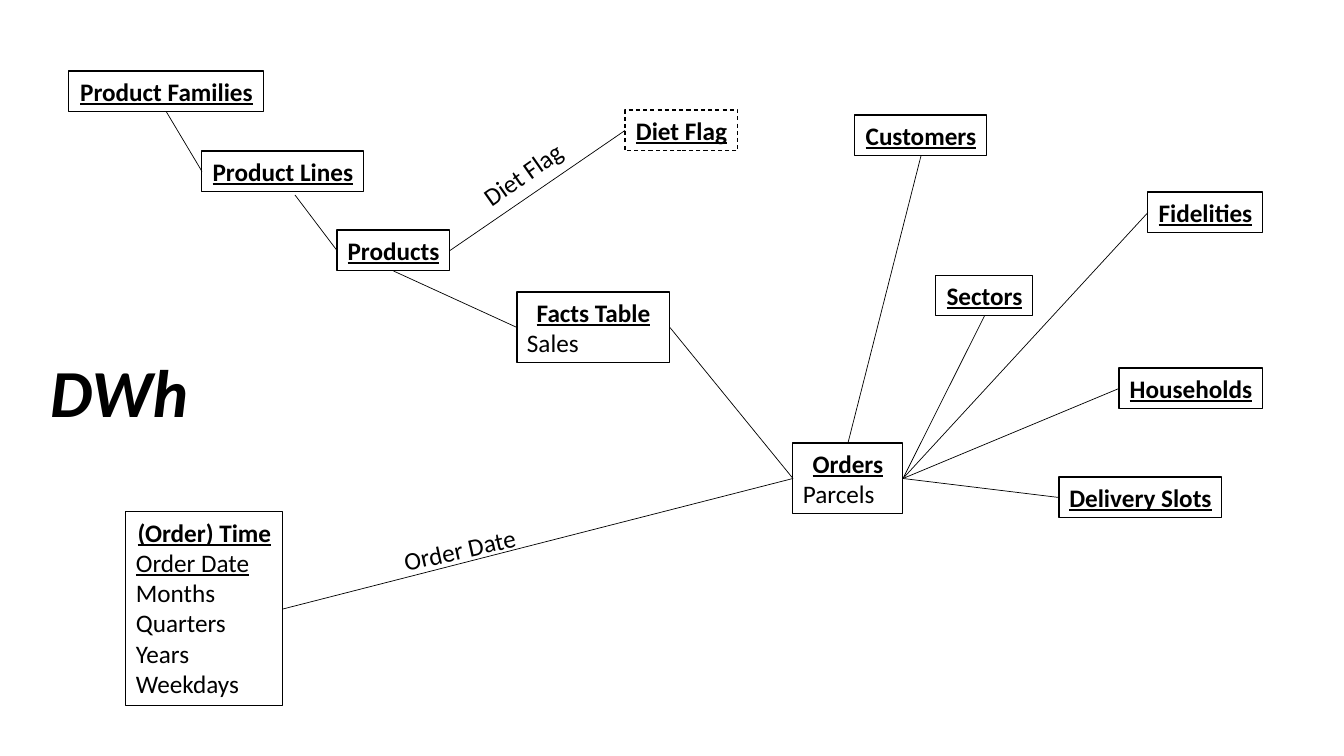
from pptx import Presentation
from pptx.dml.color import RGBColor
from pptx.enum.dml import MSO_LINE
from pptx.enum.shapes import MSO_CONNECTOR, MSO_SHAPE
from pptx.enum.text import MSO_ANCHOR, MSO_AUTO_SIZE, PP_ALIGN
from pptx.oxml.ns import qn
from pptx.util import Pt
from lxml.etree import SubElement

SCALE = 12192000 / 1344
BLACK = "000000"
TOP, LEFT, BOTTOM, RIGHT = range(4)
BODY = {"name": "Calibri", "size": Pt(18), "bold": False, "underline": False}
KEY = BODY | {"underline": True}
HEADING = KEY | {"bold": True}
TITLE = BODY | {"size": Pt(48), "bold": True, "italic": True}
FITTED = {"word_wrap": False, "auto_size": MSO_AUTO_SIZE.SHAPE_TO_FIT_TEXT,
          "vertical_anchor": MSO_ANCHOR.TOP}

ENTITIES = [
    ("Facts Table", (517, 292, 153, 71), ["Sales"]),
    ("Products", (337, 230, 113, 41), []),
    ("Product Lines", (202, 151, 162, 41), []),
    ("Product Families", (69, 71, 195, 41), []),
    ("Diet Flag", (625, 110, 113, 41), []),
    ("Delivery Slots", (1059, 477, 163, 41), []),
    ("Orders", (793, 443, 110, 71), ["Parcels"]),
    ("Customers", (855, 115, 132, 41), []),
    ("Fidelities", (1148, 192, 115, 41), []),
    ("Sectors", (936, 275, 97, 41), []),
    ("Households", (1119, 368, 144, 41), []),
    ("(Order) Time", (126, 512, 157, 194),
     ["Order Date", "Months", "Quarters", "Years", "Weekdays"]),
]
KEY_FIELDS = {"Order Date"}

LINKS = [
    ("Facts Table", LEFT, "Products", BOTTOM),
    ("Product Lines", LEFT, "Product Families", BOTTOM),
    ("Orders", RIGHT, "Delivery Slots", LEFT),
    ("Orders", LEFT, "(Order) Time", RIGHT),
    ("Facts Table", RIGHT, "Orders", LEFT),
    ("Orders", TOP, "Customers", BOTTOM),
    ("Orders", RIGHT, "Fidelities", LEFT),
    ("Orders", RIGHT, "Households", LEFT),
    ("Orders", RIGHT, "Sectors", BOTTOM),
    ("Products", RIGHT, "Diet Flag", LEFT),
]

LINK_LABELS = [
    ("Order Date", (393, 529, 135, 41), 347.3),
    ("Diet Flag", (468, 153, 111, 41), 324.9),
]


def px(*lengths):
    """Turn pixel lengths into EMU."""
    return [round(length * SCALE) for length in lengths]


def color(hex_value):
    """Return the colour of a hex string."""
    return RGBColor.from_string(hex_value)


def apply(target, values):
    """Set attributes of the target from a dict."""
    for name, value in values.items():
        setattr(target, name, value)


def write(paragraph, text, font_format, alignment=PP_ALIGN.LEFT):
    """Write one formatted run into a paragraph."""
    paragraph.alignment = alignment
    run = paragraph.add_run()
    run.text = text
    apply(run.font, font_format)
    run.font.color.rgb = color(BLACK)


def add_entity(slide, name, bounds, fields):
    """Add an outlined box with an underlined name and its fields."""
    shape = slide.shapes.add_shape(MSO_SHAPE.RECTANGLE, *px(*bounds))
    shape.shadow.inherit = False
    shape.fill.background()
    shape.line.color.rgb = color(BLACK)
    shape.line.width = Pt(0.75)
    frame = shape.text_frame
    apply(frame, FITTED)
    write(frame.paragraphs[0], name, HEADING, PP_ALIGN.CENTER)
    for field in fields:
        write(frame.add_paragraph(), field, KEY if field in KEY_FIELDS else BODY)
    return shape


def add_line(slide, start=(0, 0), end=(0, 0)):
    """Add a thin straight connector between two points."""
    line = slide.shapes.add_connector(MSO_CONNECTOR.STRAIGHT, *px(*start, *end))
    line.line.color.rgb = color(BLACK)
    line.line.width = Pt(0.5)
    SubElement(line._element.spPr, qn("a:effectLst"))
    return line


def add_link(slide, source, source_side, target, target_side):
    """Join two boxes at the given sides."""
    line = add_line(slide)
    line.begin_connect(source, source_side)
    line.end_connect(target, target_side)


def add_link_label(slide, text, bounds, rotation):
    """Add a rotated label along a link."""
    label = slide.shapes.add_textbox(*px(*bounds))
    label.rotation = rotation
    apply(label.text_frame, FITTED)
    write(label.text_frame.paragraphs[0], text, BODY)


def set_title(slide, text, bounds):
    """Place and format the title."""
    title = slide.shapes.title
    apply(title, dict(zip(("left", "top", "width", "height"), px(*bounds))))
    apply(title.text_frame, FITTED | {"word_wrap": True})
    write(title.text_frame.paragraphs[0], text, TITLE)


def main():
    """Build the warehouse diagram and save it."""
    presentation = Presentation()
    presentation.slide_width, presentation.slide_height = px(1344, 756)
    slide = presentation.slides.add_slide(presentation.slide_layouts[5])
    set_title(slide, "DWh", (40, 345, 162, 92))
    boxes = {entity[0]: add_entity(slide, *entity) for entity in ENTITIES}
    boxes["Diet Flag"].line.dash_style = MSO_LINE.DASH
    for source, source_side, target, target_side in LINKS:
        add_link(slide, boxes[source], source_side, boxes[target], target_side)
    products_line = add_line(slide, start=(295, 195))
    products_line.end_connect(boxes["Products"], LEFT)
    for label in LINK_LABELS:
        add_link_label(slide, *label)
    presentation.save("out.pptx")


if __name__ == "__main__":
    main()
